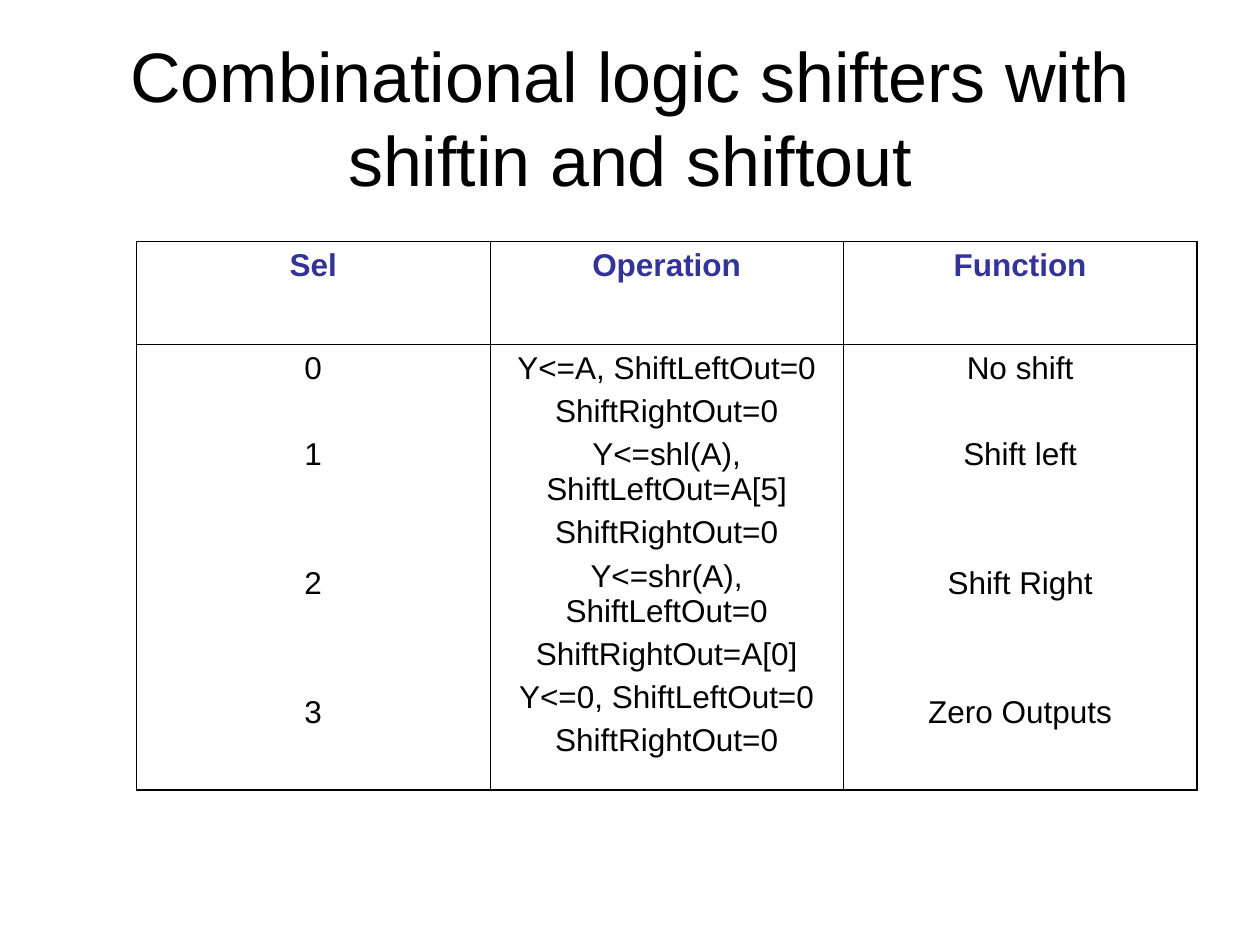
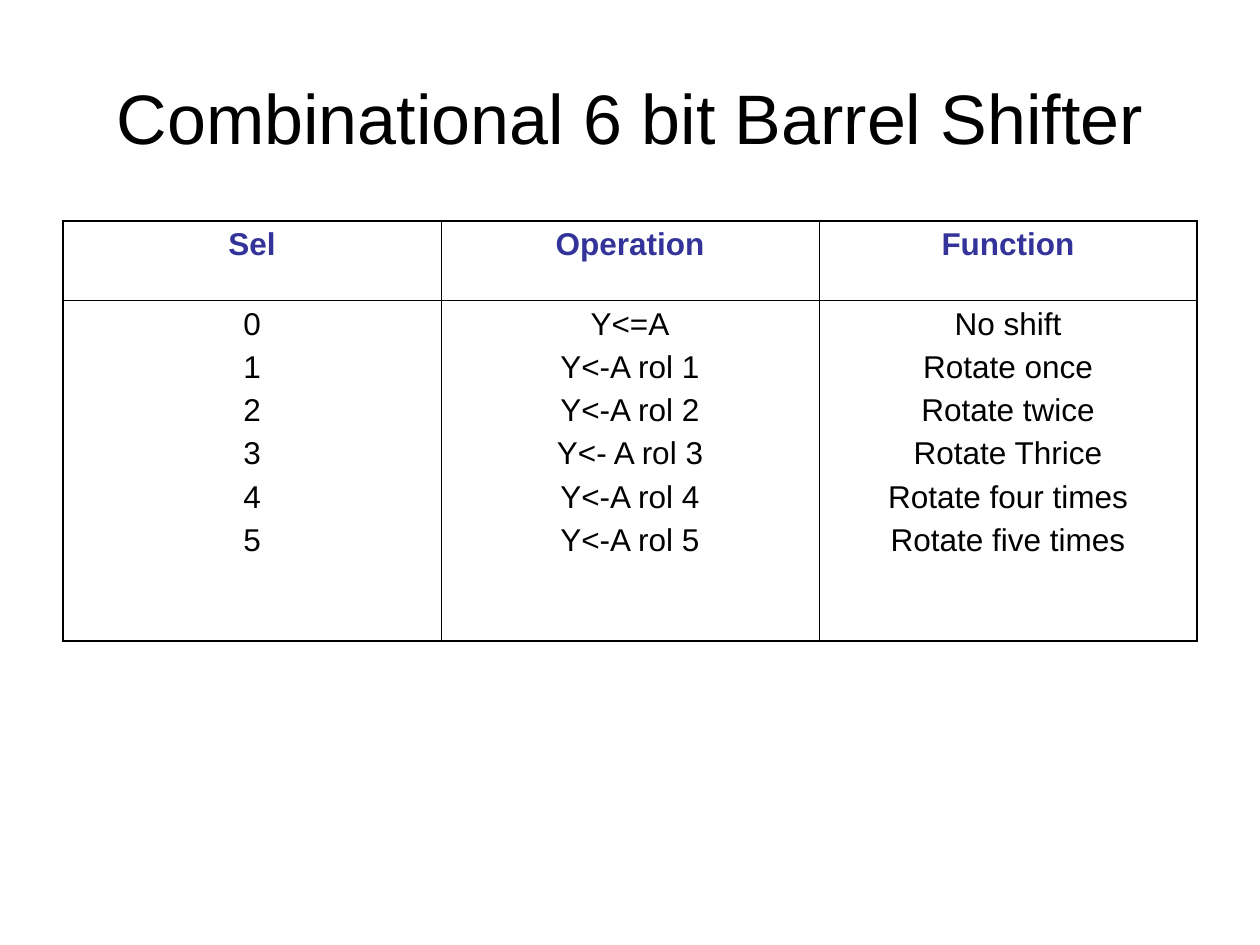
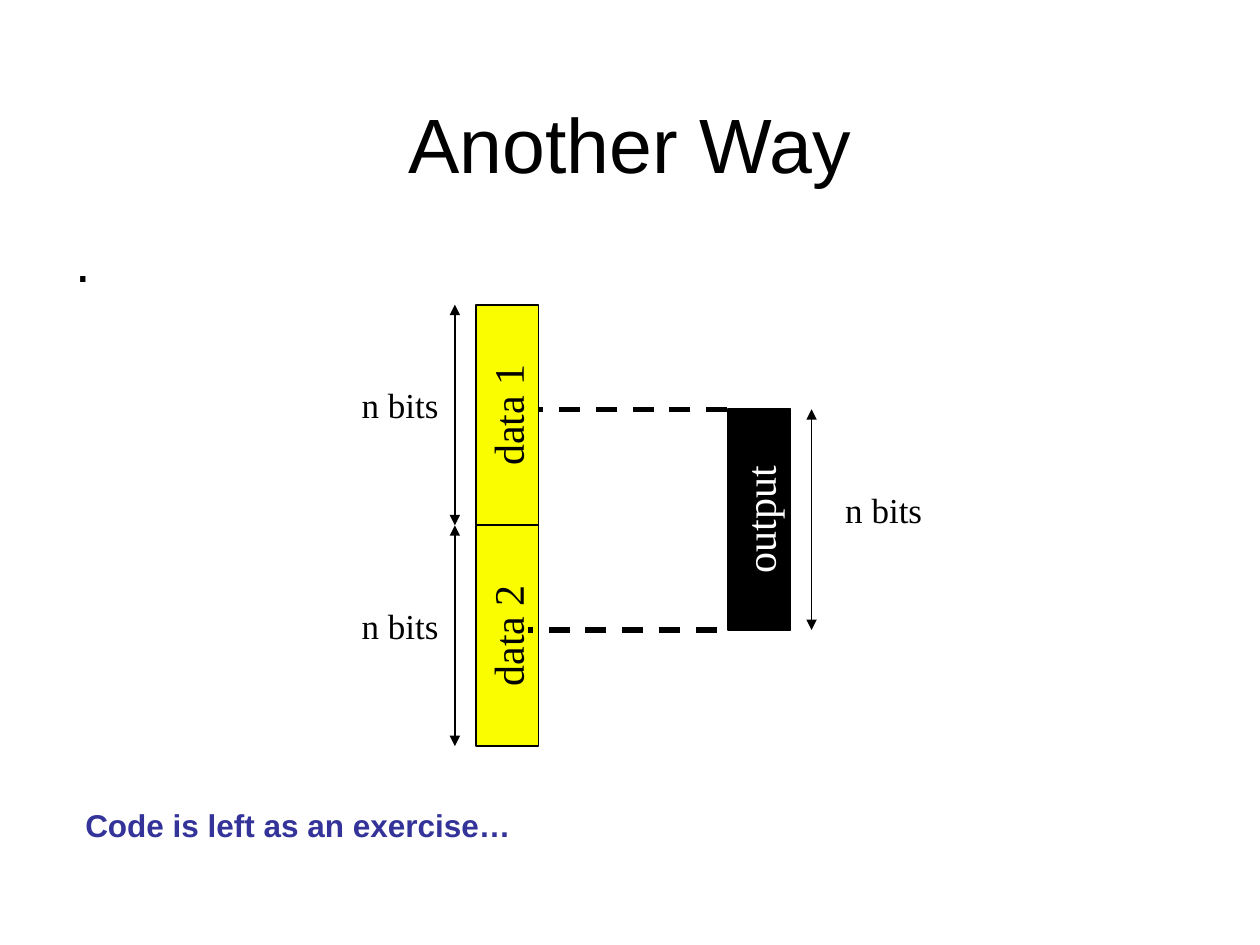
from itertools import repeat

from lxml import etree
from pptx import Presentation
from pptx.dml.color import RGBColor
from pptx.enum.dml import MSO_LINE_DASH_STYLE as Dash
from pptx.enum.shapes import MSO_CONNECTOR as Connector, MSO_SHAPE as Shape
from pptx.enum.text import MSO_ANCHOR as Anchor, MSO_AUTO_SIZE as AutoSize, PP_ALIGN as Align
from pptx.oxml.ns import qn
from pptx.util import Cm, Pt

COLORS = {"ink": "000000", "accent": "333399", "data": "FAFD00", "paper": "FFFFFF"}
SANS, SERIF = "Arial", "Times New Roman"
TITLE_BOX = (1.27, 0.76, 22.86, 3.18)
HEADERS = ("Sel", "Operation", "Function")
LINE_GAP, LINE_STEP = 4.5, 24.6  # points before a table line; points from line to line
OUTER, INNER = 1.08, 0.45  # table rule widths in points
BAR_LENGTH, BAR_WIDTH = 4.45, 1.27


def color(name):
    return RGBColor.from_string(COLORS[name])


def write(frame, lines, size=18, font=SANS, ink="ink", bold=False, align=Align.LEFT,
          anchor=Anchor.TOP, wrap=True, gaps=repeat(0)):
    """Fill a text frame, one paragraph a line, with the points of space before each."""
    frame.word_wrap = wrap
    frame.vertical_anchor = anchor
    for index, (line, gap) in enumerate(zip(lines, gaps)):
        para = frame.paragraphs[0] if index == 0 else frame.add_paragraph()
        para.alignment = align
        para.space_before = Pt(gap)
        span = para.add_run()
        span.text = line
        span.font.size, span.font.name, span.font.bold = Pt(size), font, bold
        span.font.color.rgb = color(ink)


def add_text(page, text, place, grow=False, gap=0, **style):
    box = page.shapes.add_textbox(*map(Cm, place))
    write(box.text_frame, [text], gaps=[gap], **style)
    box.text_frame.auto_size = AutoSize.SHAPE_TO_FIT_TEXT if grow else AutoSize.NONE


def add_page(deck, title, size=40, anchor=Anchor.MIDDLE):
    page = deck.slides.add_slide(deck.slide_layouts[6])
    add_text(page, title, TITLE_BOX, size=size, anchor=anchor, align=Align.CENTER)
    return page


# Tables
def set_borders(cell, widths):
    props = cell._tc.get_or_add_tcPr()
    for side, width in zip("LRTB", widths):
        rule = etree.SubElement(props, qn(f"a:ln{side}"), w=str(Pt(width)))
        fill = etree.SubElement(rule, qn("a:solidFill"))
        etree.SubElement(fill, qn("a:srgbClr"), val=COLORS["ink"])


def add_operations(page, place, header_height, columns, skips=repeat(0)):
    """Add a header row over one tall row; skips counts the lines left free before each entry."""
    left, top, width, height = place
    table = page.shapes.add_table(2, len(columns), *map(Cm, place)).table
    table.first_row = table.horz_banding = False
    table.rows[0].height = Cm(header_height)
    table.rows[1].height = Cm(height - header_height)
    spread = [LINE_GAP + LINE_STEP * skip for skip, _ in zip(skips, columns[0])]
    last = len(columns) - 1
    for index, (header, entries) in enumerate(zip(HEADERS, columns)):
        table.columns[index].width = Cm(width / len(columns))
        sides = (OUTER if index == 0 else INNER, OUTER if index == last else INNER)
        head, body = table.cell(0, index), table.cell(1, index)
        set_borders(head, (*sides, OUTER, INNER))
        set_borders(body, (*sides, INNER, OUTER))
        write(head.text_frame, [header], ink="accent", bold=True, align=Align.CENTER,
              gaps=[LINE_GAP])
        gaps = spread if len(entries) == len(spread) else repeat(LINE_GAP)
        write(body.text_frame, entries, align=Align.CENTER, gaps=gaps)
        for cell in (head, body):
            cell.fill.background()


# Diagram
def add_line(page, start, end, width=1, dashed=False, arrows=False):
    line = page.shapes.add_connector(Connector.STRAIGHT, *map(Cm, (*start, *end)))
    line.line.color.rgb = color("ink")
    line.line.width = Pt(width)
    if dashed:
        line.line.dash_style = Dash.DASH
    if arrows:
        for end_name in ("headEnd", "tailEnd"):
            etree.SubElement(line.line._get_or_add_ln(), qn(f"a:{end_name}"), type="triangle")
    etree.SubElement(line._element.spPr, qn("a:effectLst"))


def add_bar(page, label, left, top, fill="data", ink="ink"):
    """Add an upright bar whose label reads from bottom to top."""
    shift = (BAR_LENGTH - BAR_WIDTH) / 2
    bar = page.shapes.add_shape(Shape.RECTANGLE, Cm(left - shift), Cm(top + shift),
                                Cm(BAR_LENGTH), Cm(BAR_WIDTH))
    bar.rotation = 270
    bar.shadow.inherit = False
    bar.fill.solid()
    bar.fill.fore_color.rgb = color(fill)
    bar.line.color.rgb = color("ink")
    bar.line.width = Pt(1)
    write(bar.text_frame, [label], size=24, font=SERIF, ink=ink, align=Align.CENTER,
          anchor=Anchor.MIDDLE, wrap=False)


def add_measure(page, arrow_x, label_x, top):
    add_line(page, (arrow_x, top + BAR_LENGTH), (arrow_x, top), arrows=True)
    add_text(page, "n bits", (label_x, top + 1.47, 2.06, 1.11), grow=True, size=20,
             font=SERIF, wrap=False)


# Slides
def add_shifters(deck):
    page = add_page(deck, "Combinational logic shifters with shiftin and shiftout")
    operations = ("Y<=A, ShiftLeftOut=0", "ShiftRightOut=0",
                  "Y<=shl(A), ShiftLeftOut=A[5]", "ShiftRightOut=0",
                  "Y<=shr(A), ShiftLeftOut=0", "ShiftRightOut=A[0]",
                  "Y<=0, ShiftLeftOut=0", "ShiftRightOut=0")
    functions = ("No shift", "Shift left", "Shift Right", "Zero Outputs")
    add_operations(page, (2.75, 4.87, 21.38, 11.05), 2.07,
                   ("0123", operations, functions), skips=(0, 1, 2, 2))


def add_barrel(deck):
    page = add_page(deck, "Combinational 6 bit Barrel Shifter")
    operations = ("Y<=A", "Y<-A rol 1", "Y<-A rol 2", "Y<- A rol 3", "Y<-A rol 4", "Y<-A rol 5")
    functions = ("No shift", "Rotate once", "Rotate twice", "Rotate Thrice",
                 "Rotate four times", "Rotate five times")
    add_operations(page, (1.27, 4.45, 22.86, 8.47), 1.61, ("012345", operations, functions))


def add_window(deck):
    page = add_page(deck, "Another Way", size=44, anchor=Anchor.BOTTOM)
    add_text(page, ".", (1.27, 4.45, 22.86, 12.57), size=32, gap=8)
    data_top, output_top = 6.14, 8.25
    for index, label in enumerate(("data 1", "data 2")):
        top = data_top + index * BAR_LENGTH
        add_bar(page, label, 9.59, top)
        add_measure(page, 9.17, 7.04, top)
    add_bar(page, "output", 14.67, output_top, fill="ink", ink="paper")
    add_measure(page, 16.36, 16.79, output_top)
    for right, y in ((14.66, output_top), (14.45, output_top + BAR_LENGTH)):
        add_line(page, (right, y), (right - 3.81, y), width=3, dashed=True)
    add_text(page, "Code is left as an exercise…", (1.47, 16.13, 23.06, 1.02), grow=True,
             ink="accent", bold=True, gap=11.2)


def main():
    deck = Presentation()
    deck.slide_width, deck.slide_height = Cm(25.4), Cm(19.05)
    add_shifters(deck)
    add_barrel(deck)
    add_window(deck)
    deck.save("out.pptx")


if __name__ == "__main__":
    main()
